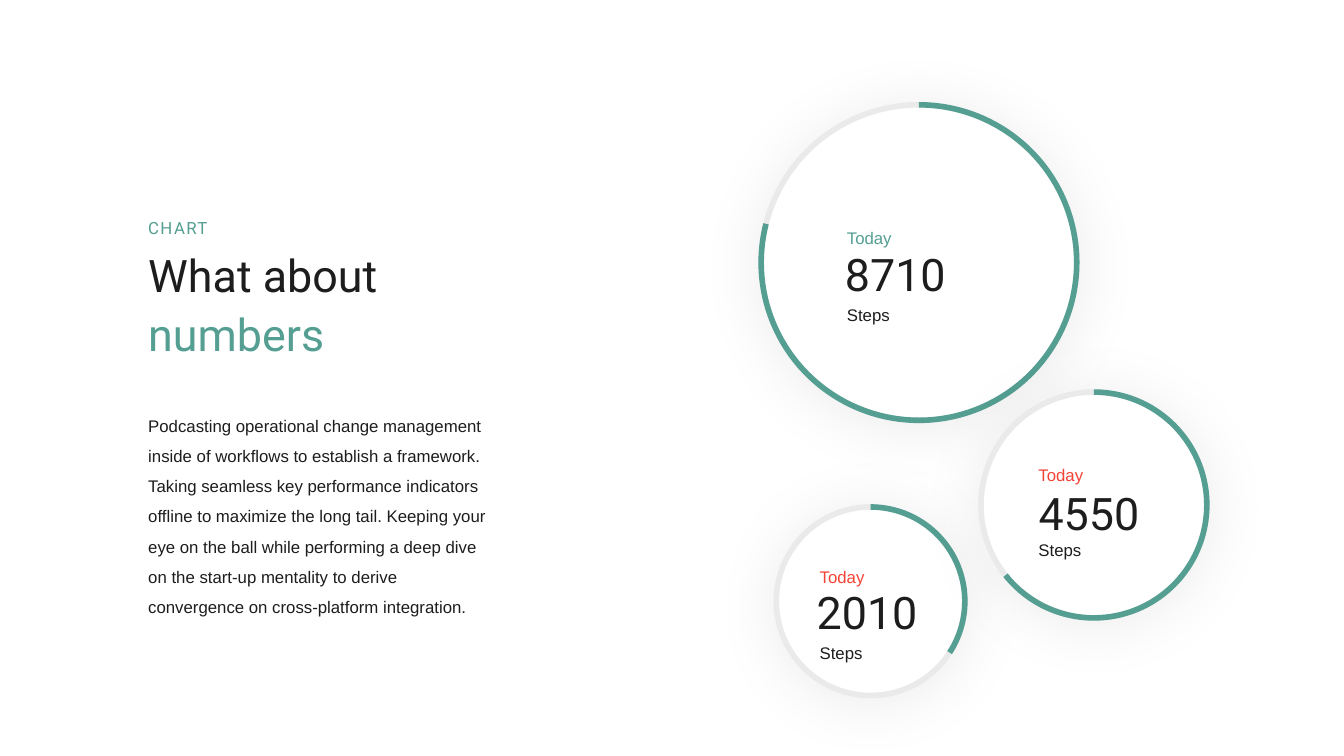
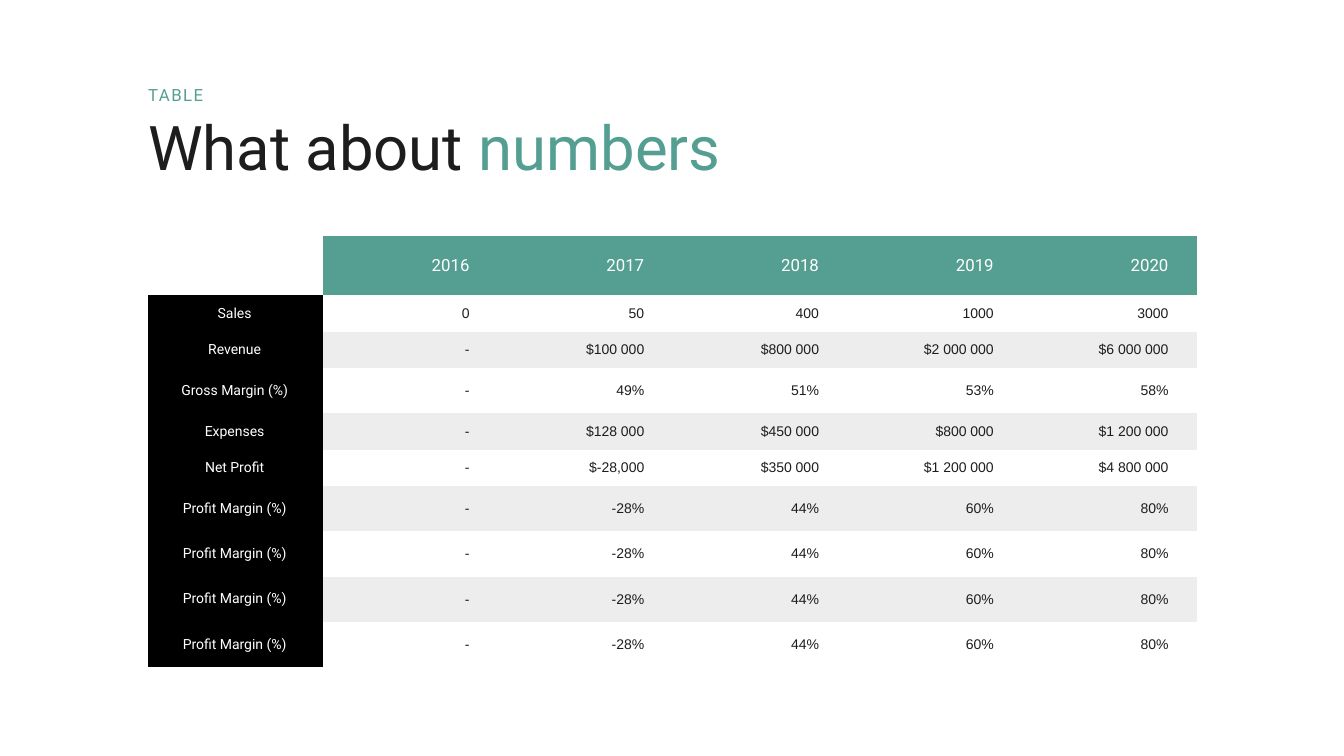
from lxml import etree
from pptx import Presentation
from pptx.dml.color import RGBColor
from pptx.enum.shapes import MSO_SHAPE as Shape
from pptx.enum.text import MSO_ANCHOR as Anchor, MSO_AUTO_SIZE as AutoSize, PP_ALIGN as Align
from pptx.oxml import parse_xml
from pptx.oxml.ns import nsdecls, qn
from pptx.util import Inches, Pt

COLORS = {"ink": "1D1D1D", "accent": "549E92", "alert": "F44336", "ring": "EAEAEA",
          "white": "FFFFFF", "black": "000000", "band": "EDEDED"}
HEAD_FONT, BODY_FONT = "Roboto", "Arial"
LEFT = 1.47
NO_STYLE = "{2D5ABB26-0587-4C30-8999-92F81FD0307C}"

KICKER = dict(size=12, font=HEAD_FONT, color="accent")
NUMBER = dict(size=32, font=HEAD_FONT, color="ink")
BODY = dict(size=12, font=BODY_FONT, color="ink")

INTRO = ("Podcasting operational change management inside of workflows to establish a framework. "
         "Taking seamless key performance indicators offline to maximize the long tail. Keeping your "
         "eye on the ball while performing a deep dive on the start-up mentality to derive "
         "convergence on cross-platform integration.")

# ring: left, top, diameter; end: angle in degrees where the arc stops
# x: left of number, left of labels; y: top of heading, number, unit
DIALS = [
    dict(value="2010", ring=(7.7, 5.03, 1.87), end=33.03, color="alert",
         x=(8.1, 8.13), y=(5.52, 5.85, 6.28)),
    dict(value="8710", ring=(7.55, 1.04, 3.13), end=194.21, color="accent",
         x=(8.38, 8.4), y=(2.16, 2.5, 2.92)),
    dict(value="4550", ring=(9.73, 3.89, 2.24), end=141.52, color="alert",
         x=(10.3, 10.3), y=(4.51, 4.87, 5.25)),
]

YEARS = ["2016", "2017", "2018", "2019", "2020"]
MARGIN_ROW = ("Profit Margin (%)", 0.45, ["-", "-28%", "44%", "60%", "80%"])
ROWS = [
    ("Sales", 0.36, ["0", "50", "400", "1000", "3000"]),
    ("Revenue", 0.36, ["-", "$100 000", "$800 000", "$2 000 000", "$6 000 000"]),
    ("Gross Margin (%)", 0.45, ["-", "49%", "51%", "53%", "58%"]),
    ("Expenses", 0.36, ["-", "$128 000", "$450 000", "$800 000", "$1 200 000"]),
    ("Net Profit", 0.36, ["-", "$-28,000", "$350 000", "$1 200 000", "$4 800 000"]),
] + [MARGIN_ROW] * 4
HEADER_HEIGHT = 0.59
TABLE_TOP, TABLE_WIDTH = 2.34, 10.4


def rgb(name):
    return RGBColor.from_string(COLORS[name])


def add_run(p, text, size, font, color):
    r = p.add_run()
    r.text = text
    for name, value in dict(size=Pt(size), name=font).items():
        setattr(r.font, name, value)
    r.font.color.rgb = rgb(color)
    return r


def set_frame(tf, insets=(0, 0, 0, 0), anchor=Anchor.TOP):
    """Set insets (left, top, right, bottom), anchor and wrapping."""
    for side, inset in zip(("left", "top", "right", "bottom"), insets):
        setattr(tf, f"margin_{side}", Inches(inset))
    tf.word_wrap = True
    tf.auto_size = AutoSize.NONE
    tf.vertical_anchor = anchor


def add_text(shapes, box, text, style, spacing, **frame):
    tf = shapes.add_textbox(*map(Inches, box)).text_frame
    set_frame(tf, **frame)
    p = tf.paragraphs[0]
    p.line_spacing = spacing
    return add_run(p, text, **style)


def add_kicker(s, box, text, spacing):
    r = add_text(s.shapes, box, text, KICKER, spacing, anchor=Anchor.BOTTOM)
    r.font._element.set("spc", "100")


def add_titled_slide(prs, box, size, spacing, two_lines=False):
    s = prs.slides.add_slide(prs.slide_layouts[5])
    title = s.shapes.title
    title.left, title.top, title.width, title.height = map(Inches, box)
    set_frame(title.text_frame)
    p = title.text_frame.paragraphs[0]
    p.alignment, p.line_spacing = Align.LEFT, spacing
    add_run(p, "What about ", size, HEAD_FONT, "ink")
    if two_lines:
        p.add_line_break()
    add_run(p, "numbers", size, HEAD_FONT, "accent")
    return s


def add_ring(shapes, kind, ring, color):
    left, top, size = map(Inches, ring)
    sp = shapes.add_shape(kind, left, top, size, size)
    sp.shadow.inherit = False
    sp.line.color.rgb = rgb(color)
    sp.line.width = Pt(4)
    return sp


def add_soft_shadow(sp):
    effects = sp._element.spPr.find(qn("a:effectLst"))
    effects.append(parse_xml(
        f'<a:outerShdw {nsdecls("a")} blurRad="{Pt(45)}" dist="{Pt(3)}" dir="5400000" '
        f'algn="t" rotWithShape="0"><a:srgbClr val="{COLORS["black"]}">'
        '<a:alpha val="8000"/></a:srgbClr></a:outerShdw>'))


def add_dial(s, dial):
    shapes = s.shapes.add_group_shape().shapes
    disc = add_ring(shapes, Shape.OVAL, dial["ring"], "ring")
    disc.fill.solid()
    disc.fill.fore_color.rgb = rgb("white")
    add_soft_shadow(disc)
    arc = add_ring(shapes, Shape.ARC, dial["ring"], "accent")
    arc.fill.background()
    for i, degrees in enumerate((270, dial["end"])):
        arc.adjustments[i] = degrees * 0.6  # 60000 units a degree, scaled by 100000

    number_x, label_x = dial["x"]
    heading_y, number_y, unit_y = dial["y"]
    add_text(shapes, (number_x, number_y, 1.59, 0.53), dial["value"], NUMBER, 0.8,
             insets=(0, 0.05, 0.1, 0.05))
    for y, text, color in ((unit_y, "Steps", "ink"), (heading_y, "Today", dial["color"])):
        add_text(shapes, (label_x, y, 0.8, 0.3), text, {**BODY, "color": color}, 1.5,
                 insets=(0, 0, 0.1, 0))


def fill_cell(cell, text, fill, size, font, color, align=Align.RIGHT, right=0.28):
    cell.fill.solid()
    cell.fill.fore_color.rgb = rgb(fill)
    cell.vertical_anchor = Anchor.MIDDLE
    cell.margin_right = Inches(right)
    p = cell.text_frame.paragraphs[0]
    p.alignment = align
    add_run(p, text, size, font, color)


def add_finance_table(s):
    heights = [HEADER_HEIGHT] + [height for _, height, _ in ROWS]
    columns = len(YEARS) + 1
    box = (LEFT, TABLE_TOP, TABLE_WIDTH, sum(heights))
    table = s.shapes.add_table(len(heights), columns, *map(Inches, box)).table
    table.first_row = table.horz_banding = False
    table._tbl.tblPr.find(qn("a:tableStyleId")).text = NO_STYLE
    for column in table.columns:
        column.width = Inches(TABLE_WIDTH / columns)
    for row, height in zip(table.rows, heights):
        row.height = Inches(height)

    table.cell(0, 0).fill.background()
    for c, year in enumerate(YEARS, 1):
        fill_cell(table.cell(0, c), year, "accent", 12, HEAD_FONT, "white")
    for r, (label, _, values) in enumerate(ROWS, 1):
        fill_cell(table.cell(r, 0), label, "black", 10, HEAD_FONT, "white", Align.CENTER, 0.12)
        for c, value in enumerate(values, 1):
            fill_cell(table.cell(r, c), value, "white" if r % 2 else "band", 10, BODY_FONT, "ink")


def main():
    prs = Presentation()
    prs.slide_width, prs.slide_height = Inches(13.33), Inches(7.5)

    s = add_titled_slide(prs, (LEFT, 2.4, 4.46, 1.18), 32, 1.1, two_lines=True)
    for dial in DIALS:
        add_dial(s, dial)
    add_text(s.shapes, (LEFT, 4.02, 3.41, 2.12), INTRO, BODY, 1.5)
    add_kicker(s, (LEFT, 2.12, 1.98, 0.24), "CHART", 1.2)

    s = add_titled_slide(prs, (LEFT, 1.16, 10.4, 0.67), 44, 0.9)
    add_finance_table(s)
    add_kicker(s, (LEFT, 0.88, 1.98, 0.16), "TABLE", 0.8)

    prs.save("out.pptx")


if __name__ == "__main__":
    main()
